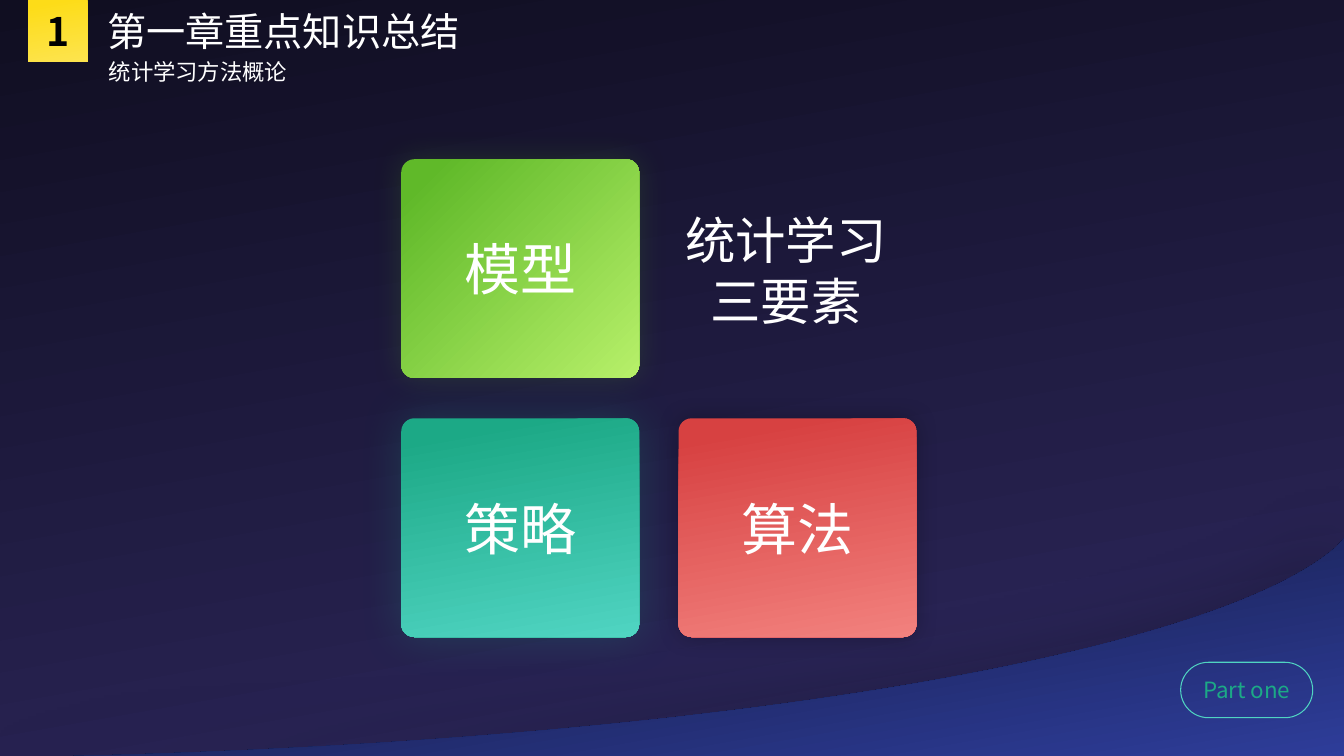
from dataclasses import dataclass

from lxml import etree
from pptx import Presentation
from pptx.dml.color import RGBColor
from pptx.enum.shapes import MSO_SHAPE
from pptx.enum.text import MSO_ANCHOR, MSO_AUTO_SIZE, PP_ALIGN
from pptx.oxml.ns import qn
from pptx.util import Inches, Pt

RECTANGLE = MSO_SHAPE.RECTANGLE
ROUNDED = MSO_SHAPE.ROUNDED_RECTANGLE
CENTER, JUSTIFY = PP_ALIGN.CENTER, PP_ALIGN.JUSTIFY
TOP, MIDDLE = MSO_ANCHOR.TOP, MSO_ANCHOR.MIDDLE
GROW, FIXED = MSO_AUTO_SIZE.SHAPE_TO_FIT_TEXT, MSO_AUTO_SIZE.NONE

FONT = "Noto Sans CJK SC"
WHITE, BLACK = "FFFFFF", "000000"
TITLE_ONLY = 5
TILE_WIDTH, TILE_HEIGHT = 2.36, 2.17
GRID_LEFT, GRID_TOP = 3.98, 1.58
COLUMN_STEP, ROW_STEP = 2.75, 2.57


@dataclass
class Gradient:
    start: str
    end: str
    angle: float = 80
    start_position: float = 0


@dataclass
class Shadow:
    color: str
    opacity: int
    blur: float
    distance: float = 0
    direction: int = 0


@dataclass
class Tile:
    text: str
    column: int
    row: int
    gradient: Gradient
    shadow: Shadow


TILES = [
    Tile("策略", 0, 1, Gradient("1CA986", "50D4C2", 80, 0.09), Shadow("1CA986", 22, 32)),
    Tile("算法", 1, 1, Gradient("D74141", "F2817E", 80, 0.09), Shadow(BLACK, 25, 16)),
    Tile("模型", 0, 0, Gradient("60B929", "B7F06A", 45, 0.09), Shadow("519C23", 22, 22)),
]


def rgb(color: str) -> RGBColor:
    return RGBColor.from_string(color)


def paint(fill, gradient: Gradient) -> None:
    """Fill with two stops; the angle runs clockwise."""
    fill.gradient()
    fill.gradient_angle = 360 - gradient.angle
    first, last = fill.gradient_stops
    first.position, last.position = gradient.start_position, 1
    first.color.rgb, last.color.rgb = rgb(gradient.start), rgb(gradient.end)


def cast_shadow(shape, shadow: Shadow) -> None:
    effects = shape._element.spPr.find(qn("a:effectLst"))
    outer = etree.SubElement(
        effects, qn("a:outerShdw"), blurRad=str(Pt(shadow.blur)), dist=str(Pt(shadow.distance)),
        dir=str(shadow.direction * 60000), algn="ctr", rotWithShape="0")
    color = etree.SubElement(outer, qn("a:srgbClr"), val=shadow.color)
    etree.SubElement(color, qn("a:alpha"), val=str(shadow.opacity * 1000))


def write(shape, text: str, *, size: float, color: str | Gradient = WHITE, bold: bool = False,
          align=CENTER, anchor=MIDDLE, auto_size=FIXED, wrap: bool = True) -> None:
    frame = shape.text_frame
    frame.text = text
    frame.word_wrap = wrap
    frame.auto_size = auto_size
    frame.vertical_anchor = anchor
    for para in frame.paragraphs:
        para.alignment = align
        para.line_spacing = 1.0
        para.space_before = Pt(0)
        for span in para.runs:
            font = span.font
            font.name, font.size, font.bold = FONT, Pt(size), bold
            if isinstance(color, Gradient):
                paint(font.fill, color)
            else:
                font.color.rgb = rgb(color)
            latin = font._element.find(qn("a:latin"))
            latin.addnext(etree.Element(qn("a:ea"), typeface=FONT))


def add_box(page, kind, left: float, top: float, width: float, height: float,
            gradient: Gradient | None = None, rounding: float | None = None):
    box = page.shapes.add_shape(kind, Inches(left), Inches(top), Inches(width), Inches(height))
    box.shadow.inherit = False
    box.line.fill.background()
    if gradient:
        paint(box.fill, gradient)
    else:
        box.fill.background()
    if rounding is not None:
        box.adjustments[0] = rounding
    return box


def add_label(page, text: str, left: float, top: float, width: float, height: float,
              **text_format) -> None:
    label = page.shapes.add_textbox(Inches(left), Inches(top), Inches(width), Inches(height))
    write(label, text, anchor=TOP, auto_size=GROW, **text_format)


def add_tile(page, tile: Tile) -> None:
    box = add_box(page, ROUNDED, GRID_LEFT + tile.column * COLUMN_STEP,
                  GRID_TOP + tile.row * ROW_STEP, TILE_WIDTH, TILE_HEIGHT, tile.gradient, 0.06)
    cast_shadow(box, tile.shadow)
    write(box, tile.text, size=40)


def curve_points(controls: list[tuple[float, float]], steps: int = 60) -> list[tuple[float, float]]:
    """Points along a cubic Bézier curve."""
    points = []
    for step in range(steps + 1):
        t = step / steps
        weights = ((1 - t) ** 3, 3 * t * (1 - t) ** 2, 3 * t ** 2 * (1 - t), t ** 3)
        points.append((sum(w * x for w, (x, _) in zip(weights, controls)),
                       sum(w * y for w, (_, y) in zip(weights, controls))))
    return points


def add_wave(page) -> None:
    crest = curve_points([(0.3, 7.51), (6.75, 7.39), (11.97, 6.54), (13.25, 5.43)])
    builder = page.shapes.build_freeform(Inches(13.35), Inches(5.32))
    corners = [(13.35, 7.52), (0.01, 7.52), (0.01, 7.51)]
    builder.add_line_segments([(Inches(x), Inches(y)) for x, y in corners + crest], close=True)
    wave = builder.convert_to_shape()
    wave.shadow.inherit = False
    wave.line.fill.background()
    paint(wave.fill, Gradient("0E122C", "2E3D9A"))
    cast_shadow(wave, Shadow(BLACK, 20, 50, 8, 225))


def add_heading(page) -> None:
    badge = add_box(page, RECTANGLE, 0.28, 0, 0.59, 0.61, Gradient("FDDC18", "FDE44E", 80, 0.09))
    write(badge, "1", size=28, color=BLACK, bold=True)
    title = page.shapes.title
    title.left, title.top = Inches(0.33), Inches(0.02)
    title.width, title.height = Inches(4.96), Inches(0.57)
    write(title, "第一章重点知识总结", size=28, anchor=TOP, auto_size=GROW)
    add_label(page, "统计学习方法概论", 0.98, 0.53, 5.87, 0.37, size=16, align=JUSTIFY)


def add_part_marker(page) -> None:
    pill = add_box(page, ROUNDED, 11.71, 6.57, 1.31, 0.55, rounding=0.5)
    pill.line.color.rgb = rgb("50D4C2")
    pill.line.width = Pt(0.75)
    write(pill, "Part one", size=16, color=Gradient("1CA986", "50D4C2", 90), wrap=False)


def main() -> None:
    deck = Presentation()
    deck.slide_width, deck.slide_height = Inches(13.33), Inches(7.5)
    page = deck.slides.add_slide(deck.slide_layouts[TITLE_ONLY])
    paint(page.background.fill, Gradient("100E21", "2E285F"))
    add_wave(page)
    add_part_marker(page)
    for tile in TILES:
        add_tile(page, tile)
    add_label(page, "统计学习\n三要素", 6.35, 2.03, 2.89, 1.31, size=36)
    add_heading(page)
    deck.save("out.pptx")


if __name__ == "__main__":
    main()
